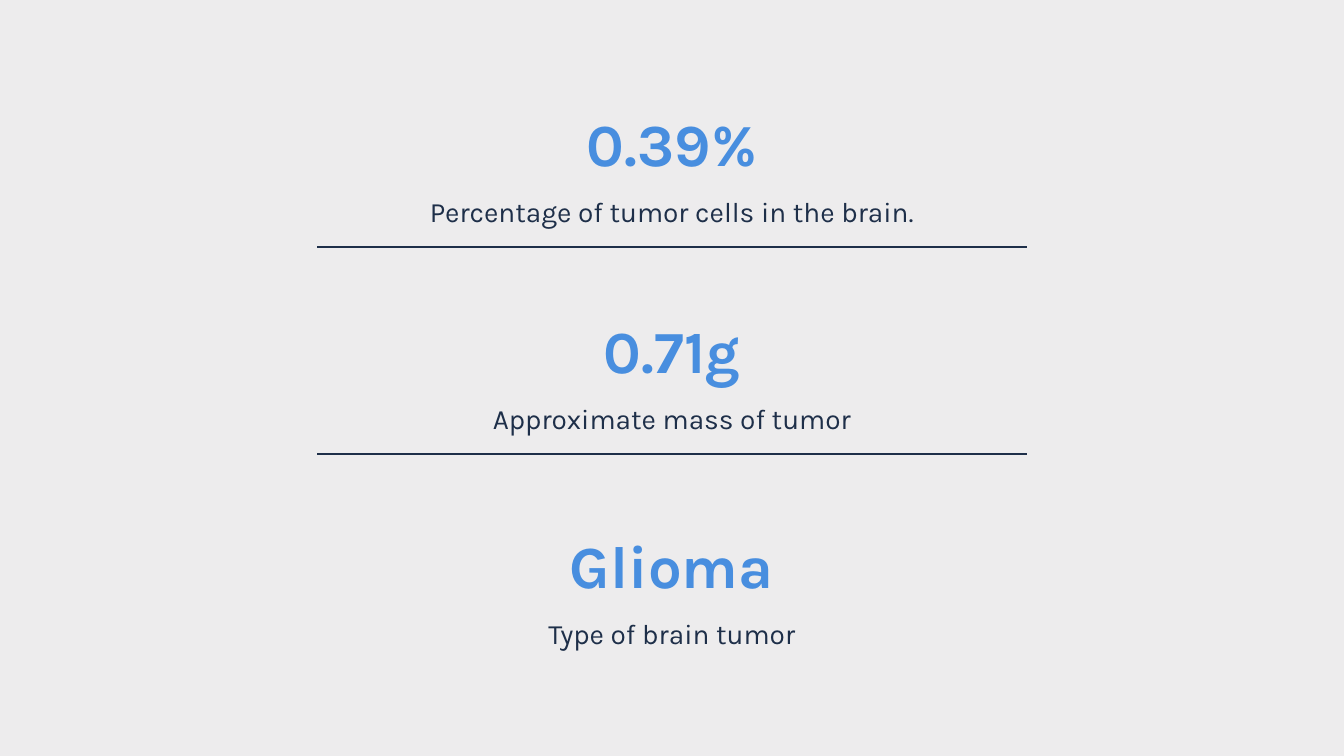
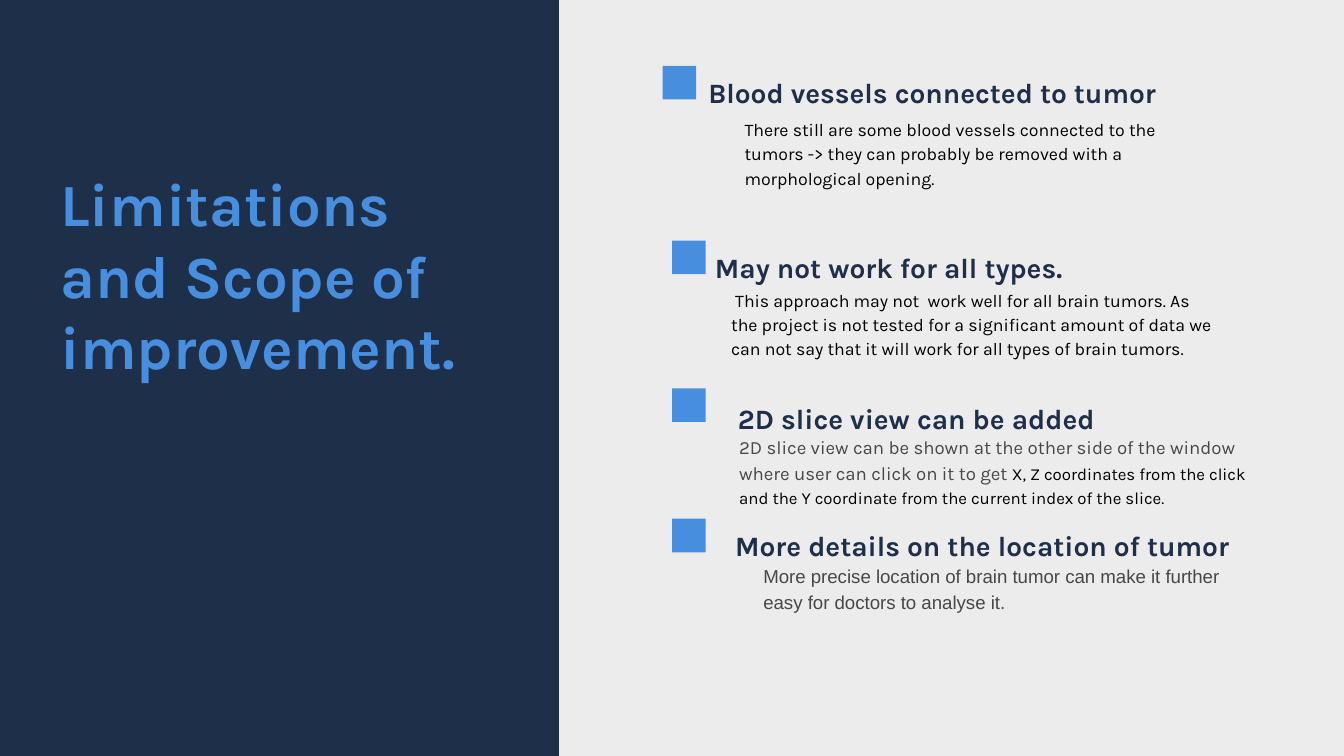
from pptx import Presentation
from pptx.dml.color import RGBColor
from pptx.enum.shapes import MSO_CONNECTOR, MSO_SHAPE
from pptx.enum.text import MSO_AUTO_SIZE, PP_ALIGN
from pptx.oxml.ns import qn
from pptx.util import Inches, Pt
from lxml.etree import SubElement

PALE = RGBColor(0xED, 0xEC, 0xED)
NAVY = RGBColor(0x1E, 0x2F, 0x49)
BLUE = RGBColor(0x48, 0x8E, 0xDF)
GRAY = RGBColor(0x47, 0x47, 0x47)
BLACK = RGBColor(0, 0, 0)
FONT = "Karla"
WIDE = 10
HIGH = WIDE * 9 / 16
SIDE = 0.25

STATS = [
    (0.69, "0.39%", "Percentage of tumor cells in the brain."),
    (2.23, "0.71g", "Approximate mass of tumor"),
    (3.83, "Glioma", "Type of brain tumor"),
]
TITLE = "Limitations and Scope of improvement."
LIMITS = [
    dict(mark=(4.93, 0.49), head="Blood vessels connected to tumor",
         spot=(5.27, 0.49, 3.48, SIDE), area=(5.04, 0.86, 3.93, 0.89),
         style=dict(size=9.5, color=BLACK, before=11, left=0.5),
         body=["There still are some blood vessels connected to the tumors -> "
               "they can probably be removed with a morphological opening."]),
    dict(mark=(5, 1.79), head="May not work for all types.",
         spot=(5.32, 1.79, 3.67, SIDE), area=(5.44, 2.13, 3.58, 1.8),
         style=dict(size=9.5, color=BLACK, before=11, first=0.03),
         body=["This approach may not  work well for all brain tumors. As the "
               "project is not tested for a significant amount of data we can "
               "not say that it will work for all types of brain tumors."]),
    dict(mark=(5, 2.89), head="2D slice view can be added",
         spot=(5.49, 2.91, 3.79, SIDE), area=(5, 3.22, 4.28, 0.54),
         style=dict(size=10, color=GRAY, before=12, after=20, left=0.5),
         body=["2D slice view can be shown at the other side of the window "
               "where user can click on it to get ",
               "X, Z coordinates from the click and the Y coordinate from the "
               "current index of the slice."]),
    dict(mark=(5, 3.86), head="More details on the location of tumor",
         spot=(5.47, 3.86, 4.16, SIDE), area=(5.18, 4.18, 4.04, 0.36),
         style=dict(size=10, color=GRAY, before=12, after=20, left=0.5,
                    face="Arial"),
         body=["More precise location of brain tumor can make it further "
               "easy for doctors to analyse it."]),
]


def add_slide(deck):
    slide = deck.slides.add_slide(deck.slide_layouts[6])
    fill = slide.background.fill
    fill.solid()
    fill.fore_color.rgb = PALE
    return slide


def add_text(slide, area, parts, size, color, bold=False, face=FONT, gap=1.0,
             align=PP_ALIGN.LEFT, before=0, after=0, left=0, first=0):
    frame = slide.shapes.add_textbox(*map(Inches, area)).text_frame
    frame.word_wrap = True
    frame.auto_size = MSO_AUTO_SIZE.SHAPE_TO_FIT_TEXT
    frame.margin_left = frame.margin_right = 0
    frame.margin_top = frame.margin_bottom = 0
    para = frame.paragraphs[0]
    para.alignment = align
    para.line_spacing = gap
    para.space_before, para.space_after = Pt(before), Pt(after)
    props = para._p.get_or_add_pPr()
    props.set("marL", str(Inches(left)))
    props.set("indent", str(Inches(first)))
    font = para.font
    font.name, font.size, font.bold = face, Pt(size), bold
    font.color.rgb = color
    for part in parts:
        para.add_run().text = part
    return para


def add_head(slide, area, text, **more):
    add_text(slide, area, [text], 32, BLUE, bold=True, **more)


def add_label(slide, area, text, **more):
    add_text(slide, area, [text], 15, NAVY, gap=1.3, **more)


def add_rect(slide, area, color):
    rect = slide.shapes.add_shape(MSO_SHAPE.RECTANGLE, *map(Inches, area))
    rect.shadow.inherit = False
    rect.fill.solid()
    rect.fill.fore_color.rgb = color
    rect.line.fill.background()


def add_rule(slide, top):
    ends = map(Inches, (2.36, top, 7.64, top))
    rule = slide.shapes.add_connector(MSO_CONNECTOR.STRAIGHT, *ends)
    rule.line.color.rgb = NAVY
    rule.line.width = Pt(1)
    SubElement(rule._element.spPr, qn("a:effectLst"))


def build_stats(deck):
    slide = add_slide(deck)
    for top, value, label in STATS:
        add_head(slide, (2.35, top, 5.3, 0.54), value,
                 gap=1.2, align=PP_ALIGN.CENTER)
        add_label(slide, (2.35, top + 0.68, 5.3, SIDE), label,
                  align=PP_ALIGN.CENTER)
    for top, *_ in STATS[:-1]:
        add_rule(slide, top + 1.15)


def build_limits(deck):
    slide = add_slide(deck)
    add_rect(slide, (0, 0, 4.16, HIGH), NAVY)
    add_head(slide, (0.45, 1.24, 3.32, 1.62), TITLE)
    for item in LIMITS:
        add_rect(slide, (*item["mark"], SIDE, SIDE), BLUE)
        para = add_text(slide, item["area"], item["body"], gap=1.15,
                        **item["style"])
        for run in para.runs[1:]:
            run.font.size = Pt(9)
            run.font.color.rgb = BLACK
        add_label(slide, item["spot"], item["head"], bold=True)


def main():
    deck = Presentation()
    deck.slide_width, deck.slide_height = Inches(WIDE), Inches(HIGH)
    build_stats(deck)
    build_limits(deck)
    deck.save("out.pptx")


if __name__ == "__main__":
    main()
